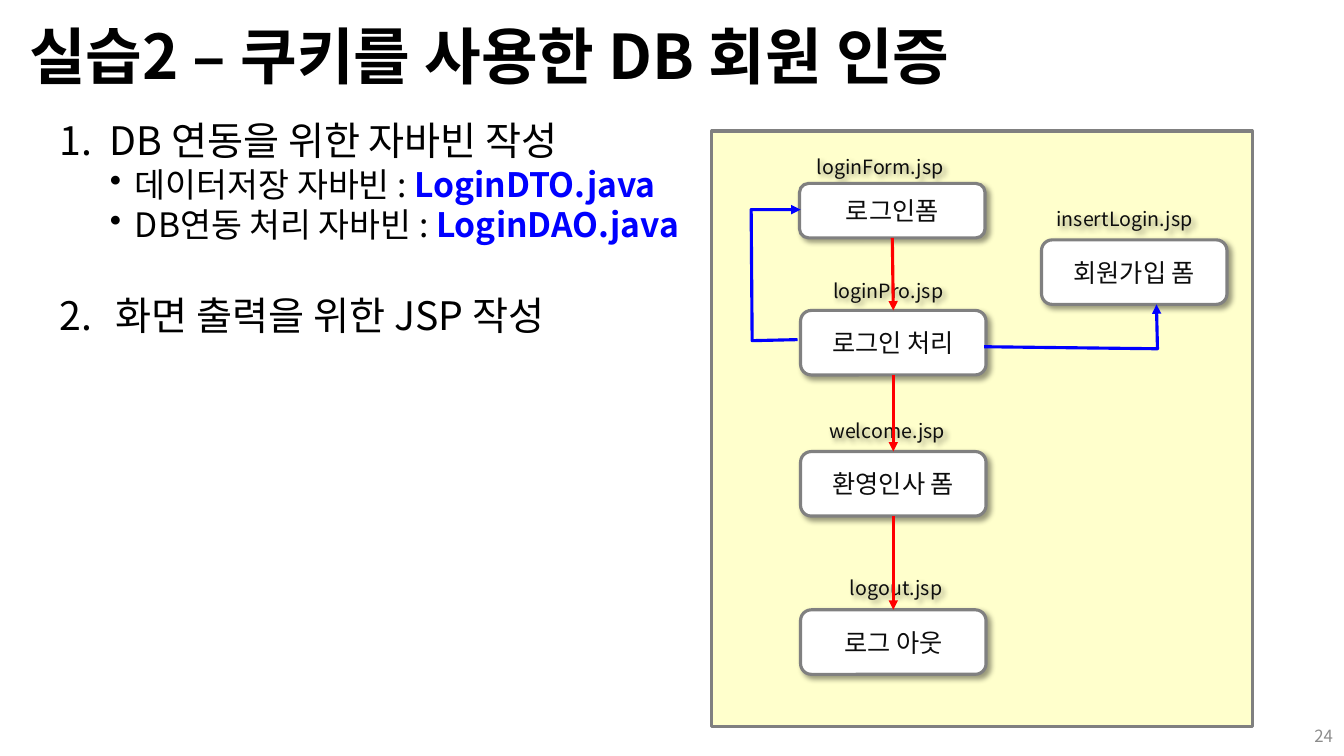
import pptx
import pptx.dml.color
import pptx.enum.shapes
import pptx.enum.text
import pptx.oxml
import pptx.oxml.ns
import pptx.util
from pptx.util import Inches

FONT = "Noto Sans CJK KR"
COLORS = {
    "text": "000000", "code": "0000FF", "box_text": "0D0D0D", "number": "8C8C8C",
    "panel": "FFFFCC", "border": "808080", "box": "FFFFFF",
    "next": "FF0000", "branch": "0000FF",
}
BOX_WIDTH, BOX_HEIGHT = 1.84, 0.64
LABEL_HEIGHT = 0.54
SHAPES = pptx.enum.shapes.MSO_SHAPE
ALIGN = pptx.enum.text.PP_ALIGN


def color(name):
    return pptx.dml.color.RGBColor.from_string(COLORS[name])


def drawing_element(xml):
    """Parse one DrawingML element, given without its namespace declaration."""
    tag, rest = xml[1:].split(" ", 1)
    return pptx.oxml.parse_xml(f"<{tag} {pptx.oxml.ns.nsdecls('a')} {rest}")


def add_run(paragraph, text, size, color_name="text", bold=False):
    run = paragraph.add_run()
    run.text = text
    font = run.font
    font.size, font.bold, font.name = pptx.util.Pt(size), bold, FONT
    font.color.rgb = color(color_name)
    properties = run._r.get_or_add_rPr()
    properties.append(drawing_element(f'<a:ea typeface="{FONT}"/>'))


def add_text_box(slide, left, top, width, height, anchor):
    box = slide.shapes.add_textbox(Inches(left), Inches(top), Inches(width), Inches(height))
    box.text_frame.word_wrap = True
    box.text_frame.vertical_anchor = anchor
    return box.text_frame


def add_list_item(paragraph, runs, size, bullet, margin, indent, space_before=0):
    """Fill a list paragraph; bullet is its DrawingML element, runs are (text, is_code)."""
    properties = paragraph._p.get_or_add_pPr()
    properties.set("marL", str(Inches(margin)))
    properties.set("indent", str(Inches(-indent)))
    properties.append(drawing_element(bullet))
    paragraph.line_spacing = 0.9
    paragraph.space_before = pptx.util.Pt(space_before)
    for text, is_code in runs:
        add_run(paragraph, text, size, "code" if is_code else "text", is_code)


def add_shape(slide, preset, left, top, width, height, fill=None):
    shape = slide.shapes.add_shape(preset, Inches(left), Inches(top), Inches(width), Inches(height))
    if fill:
        shape.fill.solid()
        shape.fill.fore_color.rgb = color(fill)
        set_line(shape, "border")
    else:
        shape.fill.background()
        shape.line.fill.background()
    shape.shadow.inherit = False
    return shape


def set_line(shape, color_name):
    shape.line.color.rgb = color(color_name)
    shape.line.width = pptx.util.Pt(2.25)


def add_arrowhead(shape, end):
    shape.line._get_or_add_ln().append(drawing_element(f'<a:{end} type="triangle"/>'))


def add_shadowed_text_shape(slide, text, size, left, top, width, height, fill=None):
    shape = add_shape(slide, SHAPES.ROUNDED_RECTANGLE, left, top, width, height, fill)
    effects = shape._element.spPr.find(pptx.oxml.ns.qn("a:effectLst"))
    effects.append(drawing_element(
        '<a:outerShdw blurRad="50800" dist="38100" dir="2700000" algn="tl" rotWithShape="0">'
        '<a:srgbClr val="000000"><a:alpha val="40000"/></a:srgbClr></a:outerShdw>'))
    shape.text_frame.word_wrap = True
    shape.text_frame.vertical_anchor = pptx.enum.text.MSO_ANCHOR.MIDDLE
    paragraph = shape.text_frame.paragraphs[0]
    paragraph.alignment = ALIGN.CENTER
    add_run(paragraph, text, size, "box_text")
    return shape


def add_page_box(slide, file_name, label_at, title, left, top, height=BOX_HEIGHT):
    """Add a page of the login flow with its file name above; label_at is left, top, width."""
    add_shadowed_text_shape(slide, file_name, 14, *label_at, LABEL_HEIGHT)
    return add_shadowed_text_shape(slide, title, 18, left, top, BOX_WIDTH, height, "box")


def add_next_arrow(slide, upper_box, lower_box):
    connector = slide.shapes.add_connector(pptx.enum.shapes.MSO_CONNECTOR.STRAIGHT, 0, 0, 0, 0)
    connector.begin_connect(upper_box, 2)
    connector.end_connect(lower_box, 0)
    set_line(connector, "next")
    add_arrowhead(connector, "tailEnd")
    connector._element.spPr.append(drawing_element("<a:effectLst />"))


def add_branch_arrow(slide, points):
    start, *others = [(Inches(x), Inches(y)) for x, y in points]
    builder = slide.shapes.build_freeform(*start)
    builder.add_line_segments(others, close=False)
    shape = builder.convert_to_shape()
    shape.fill.background()
    set_line(shape, "branch")
    add_arrowhead(shape, "tailEnd")
    shape.shadow.inherit = False


def add_steps(slide):
    frame = add_text_box(slide, 0.49, 1.16, 12.51, 6.14, pptx.enum.text.MSO_ANCHOR.TOP)
    number = '<a:buAutoNum type="arabicPeriod" startAt="{}"/>'
    dot = '<a:buChar char="•"/>'
    items = [
        ([("DB 연동을 위한 자바빈 작성", False)], 28, number.format(1), 0.5, 0.5, 0),
        ([("데이터저장 자바빈 : ", False), ("LoginDTO.java", True)], 24, dot, 0.75, 0.25, 3),
        ([("DB연동 처리 자바빈 : ", False), ("LoginDAO.java", True)], 24, dot, 0.75, 0.25, 3),
        ([("화면 출력을 위한 JSP 작성", False)], 28, number.format(2), 0.56, 0.56, 37),
    ]
    for index, item in enumerate(items):
        paragraph = frame.add_paragraph() if index else frame.paragraphs[0]
        add_list_item(paragraph, *item)


def add_login_flow(slide):
    add_shape(slide, SHAPES.RECTANGLE, 7.06, 1.3, 5.36, 5.91, "panel")
    flow = [
        add_page_box(slide, "loginForm.jsp", (7.81, 1.38, 1.84), "로그인폼", 7.93, 1.82, 0.54),
        add_page_box(slide, "loginPro.jsp", (7.89, 2.61, 1.84), "로그인 처리", 7.94, 3.08),
        add_page_box(slide, "welcome.jsp", (7.88, 4, 1.84), "환영인사 폼", 7.94, 4.48),
        add_page_box(slide, "logout.jsp", (7.81, 5.56, 2.16), "로그 아웃", 7.94, 6.05),
    ]
    add_page_box(slide, "insertLogin.jsp", (9.82, 1.9, 2.67), "회원가입 폼", 10.33, 2.38)
    for upper_box, lower_box in zip(flow, flow[1:]):
        add_next_arrow(slide, upper_box, lower_box)
    add_branch_arrow(slide, [(9.76, 3.44), (11.48, 3.46), (11.47, 3.02)])
    add_branch_arrow(slide, [(7.91, 3.37), (7.46, 3.38), (7.45, 2.08), (7.94, 2.08)])


def main():
    presentation = pptx.Presentation()
    presentation.slide_width, presentation.slide_height = Inches(13.33), Inches(7.5)
    slide = presentation.slides.add_slide(presentation.slide_layouts[6])
    middle = pptx.enum.text.MSO_ANCHOR.MIDDLE

    title = add_text_box(slide, 0.19, 0.19, 12.93, 0.81, middle).paragraphs[0]
    title.line_spacing = 0.9
    add_run(title, "실습2 – 쿠키를 사용한 DB 회원 인증", 44, bold=True)

    add_steps(slide)
    page_number = add_text_box(slide, 12.82, 7.1, 0.5, 0.4, middle).paragraphs[0]
    page_number.alignment = ALIGN.RIGHT
    add_run(page_number, "24", 12, "number")
    add_login_flow(slide)
    presentation.save("out.pptx")


if __name__ == "__main__":
    main()
